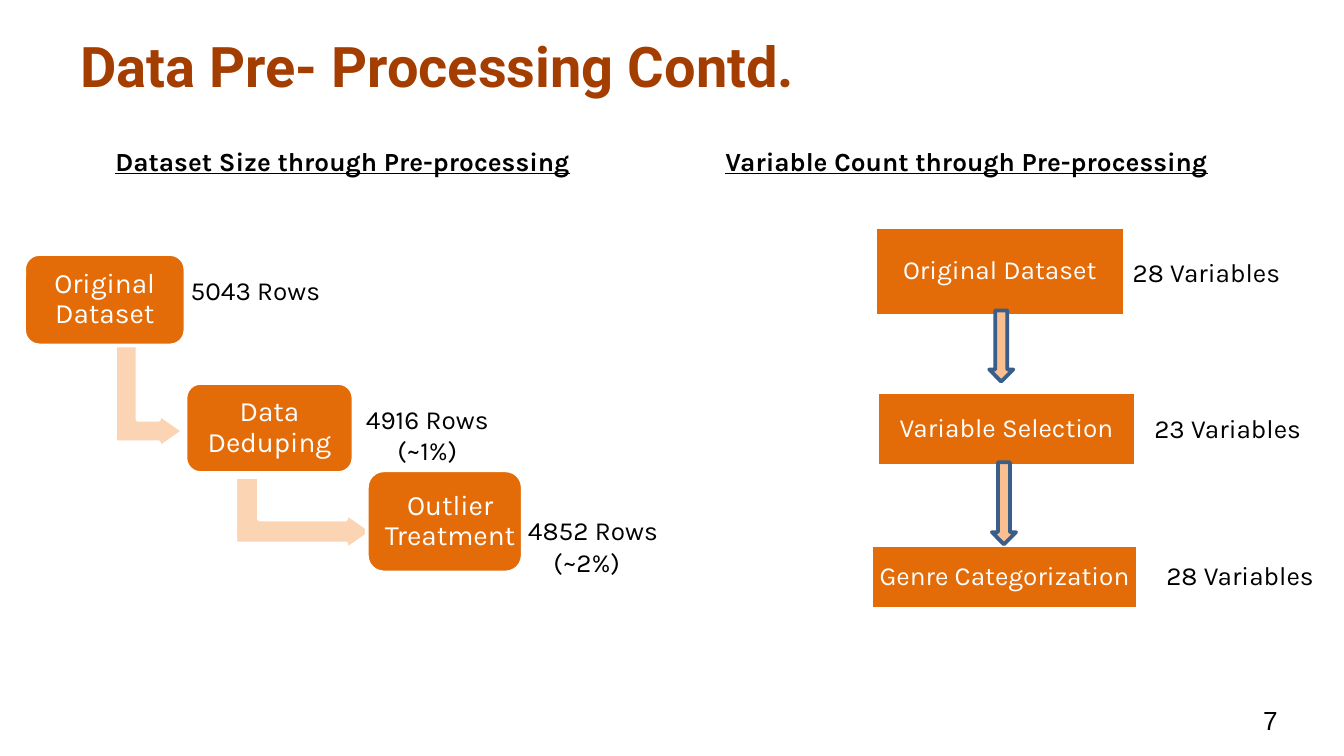
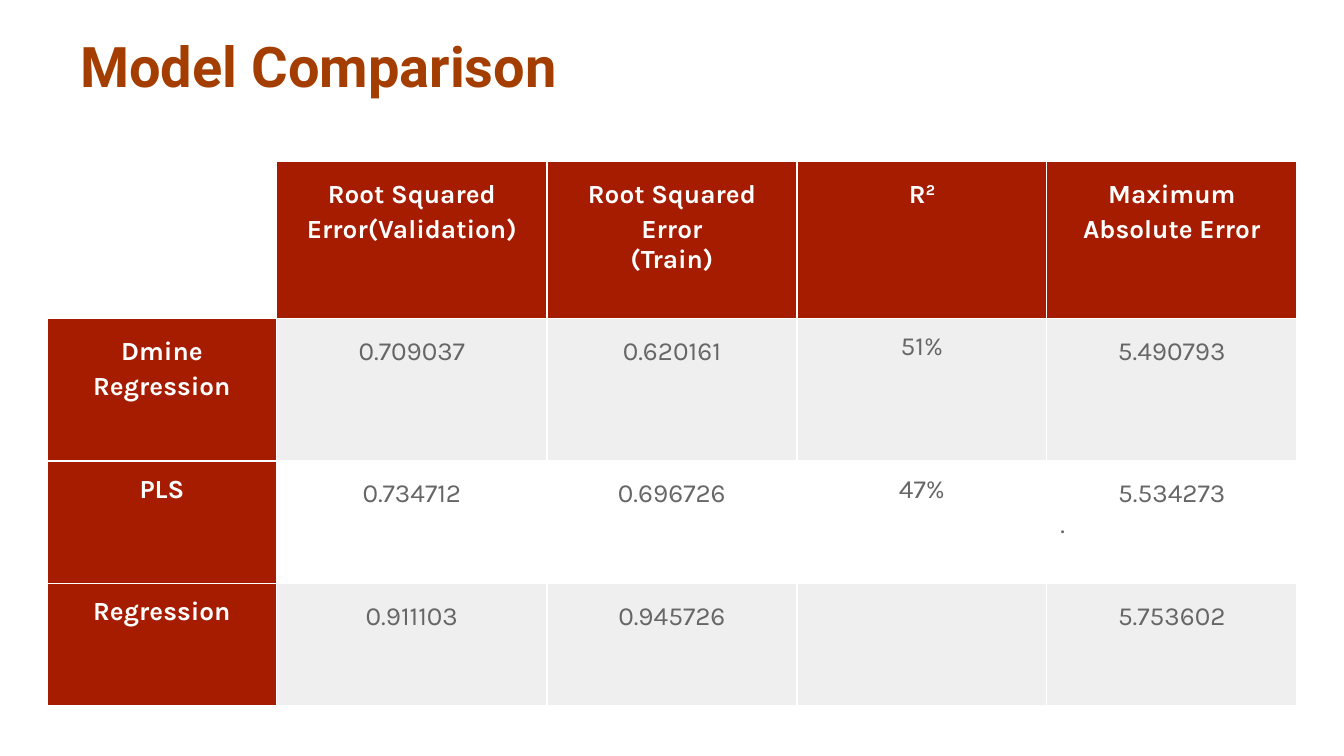
"""Build two slides on data pre-processing and model comparison."""
from lxml import etree
from pptx import Presentation
from pptx import util as u
from pptx.dml.color import RGBColor
from pptx.enum import shapes, text
from pptx.oxml.ns import qn

COLORS = {
    "title": "A43E00", "ink": "000000", "white": "FFFFFF", "step": "E36C09",
    "bend": "FBD4B4", "arrow": "FABF8E", "arrow_edge": "395E89",
    "header": "A61C00", "band": "EFEFEF", "value": "666666",
}
LEFT, CENTER = text.PP_ALIGN.LEFT, text.PP_ALIGN.CENTER
TOP, MIDDLE = text.MSO_ANCHOR.TOP, text.MSO_ANCHOR.MIDDLE
SHAPE = shapes.MSO_SHAPE

METRICS = [
    ["", "Root Squared Error(Validation)", "Root Squared Error\n(Train)", "R^2",
     "Maximum Absolute Error"],
    ["Dmine Regression", "0.709037", "0.620161", "51%", "5.490793"],
    ["PLS", "0.734712", "0.696726", "47%", "5.534273\n."],
    ["Regression", "0.911103", "0.945726", "", "5.753602"],
]
COLUMN_WIDTHS = [1.71, 2.01, 1.86, 1.86, 1.86]
ROW_HEIGHTS = [1.17, 1.06, 0.91, 0.91]
SINGLE_SPACED = {(1, 3), (2, 0), (2, 3), (3, 0)}


def rgb(name):
    """Return the named palette colour."""
    return RGBColor.from_string(COLORS[name])


def inches(values):
    """Convert a sequence of numbers to lengths."""
    return [u.Inches(value) for value in values]


def write(frame, content, size=14, font="Karla", color="ink", bold=False,
          underline=False, align=LEFT, spacing=None):
    """Fill a text frame, one paragraph a line; ^ starts a superscript."""
    for index, line in enumerate(content.split("\n")):
        paragraph = frame.add_paragraph() if index else frame.paragraphs[0]
        paragraph.alignment = align
        if spacing and not index:
            paragraph.line_spacing = spacing
        for level, part in enumerate(line.split("^")):
            run = paragraph.add_run()
            run.text = part
            run.font.size, run.font.name = u.Pt(size), font
            run.font.bold, run.font.underline = bold, underline
            run.font.color.rgb = rgb(color)
            if level:
                run.font._element.set("baseline", "30000")


def set_frame(frame, insets, anchor=TOP):
    """Set wrapping, insets (left, top, right, bottom) and anchor."""
    frame.word_wrap = True
    frame.vertical_anchor = anchor
    (frame.margin_left, frame.margin_top,
     frame.margin_right, frame.margin_bottom) = inches(insets)


def add_text(slide, box, content, insets=(0.1, 0.05, 0.1, 0.05), anchor=TOP, **style):
    """Add a text box and return its frame."""
    frame = slide.shapes.add_textbox(*inches(box)).text_frame
    set_frame(frame, insets, anchor)
    write(frame, content, **style)
    return frame


def add_figure(slide, kind, box, fill, edge="white", adjust=(), rotation=0):
    """Add a filled and outlined preset shape."""
    figure = slide.shapes.add_shape(kind, *inches(box))
    figure.shadow.inherit = False
    figure.fill.solid()
    figure.fill.fore_color.rgb = rgb(fill)
    figure.line.color.rgb = rgb(edge)
    figure.line.width = u.Pt(2)
    figure.rotation = rotation
    for index, value in enumerate(adjust):
        figure.adjustments[index] = value
    return figure


def add_step(slide, kind, box, label, insets, size):
    """Add a process step with its label."""
    step = add_figure(slide, kind, box, "step")
    set_frame(step.text_frame, insets, MIDDLE)
    write(step.text_frame, label, size=size, color="white", align=CENTER, spacing=0.9)


def add_title(slide, title):
    """Add the slide title."""
    add_text(slide, (0.5, 0.15, 9, 0.67), title, insets=[0.1] * 4, anchor=MIDDLE,
             size=30, font="Roboto", color="title", bold=True)


def add_borders(cell):
    """Draw thin white lines on all sides of a cell."""
    properties = cell._tc.get_or_add_tcPr()
    for side in ("a:lnL", "a:lnR", "a:lnT", "a:lnB"):
        line = etree.SubElement(properties, qn(side), w=str(u.Pt(0.75)))
        fill = etree.SubElement(line, qn("a:solidFill"))
        etree.SubElement(fill, qn("a:srgbClr"), val=COLORS["white"])


def fill_cell(cell, row, column, content):
    """Format one cell of the metrics table by its place."""
    heading = row == 0 or column == 0
    add_borders(cell)
    if row == column == 0:
        cell.fill.background()
    else:
        cell.fill.solid()
        cell.fill.fore_color.rgb = rgb("header" if heading else "band" if row % 2 else "white")
    cell.margin_left = cell.margin_right = u.Inches(0.1)
    cell.margin_top = cell.margin_bottom = u.Inches(0.1)
    if content:
        write(cell.text_frame, content, color="white" if heading else "value",
              bold=heading, align=CENTER,
              spacing=None if (row, column) in SINGLE_SPACED else 1.15)


def add_metrics(slide):
    """Add the table that compares the models."""
    size = (sum(COLUMN_WIDTHS), sum(ROW_HEIGHTS))
    table = slide.shapes.add_table(len(METRICS), len(METRICS[0]),
                                   *inches((0.35, 1.2, *size))).table
    table.first_row = table.horz_banding = False
    for column, width in zip(table.columns, inches(COLUMN_WIDTHS)):
        column.width = width
    for row, height in zip(table.rows, inches(ROW_HEIGHTS)):
        row.height = height
    for row, contents in enumerate(METRICS):
        for column, content in enumerate(contents):
            fill_cell(table.cell(row, column), row, column, content)
    table.cell(2, 4).text_frame.paragraphs[1].alignment = LEFT


def add_dataset_size(slide):
    """Add the staircase of row counts."""
    add_text(slide, (0.76, 1.03, 3.73, 0.34), "Dataset Size through Pre-processing",
             bold=True, underline=True)
    for box in ((0.72, 2.69, 0.78, 0.51), (1.99, 3.31, 0.54, 1.02)):
        add_figure(slide, SHAPE.BENT_UP_ARROW, box, "bend",
                   adjust=(0.328, 0.25, 0.358), rotation=90)
    for box, label, left, right in (
            ((0.18, 1.89, 1.2, 0.68), "Original Dataset", 0.1, 0.1),
            ((1.38, 2.85, 1.25, 0.67), "Data Deduping", 0.1, 0.1),
            ((2.73, 3.5, 1.16, 0.76), "Outlier Treatment", 0.08, 0)):
        add_step(slide, SHAPE.ROUNDED_RECTANGLE, box, label, (left, 0.06, right, 0.06), 15)
    add_text(slide, (1.32, 1.99, 1.3, 0.34), "5043 Rows")
    add_text(slide, (2.53, 2.95, 1.3, 0.57), "4916 Rows (~1%)", align=CENTER)
    outliers = add_text(slide, (3.83, 3.78, 1.3, 0.57), "4852 Rows\n(~2%)")
    outliers.paragraphs[1]._p.get_or_add_pPr().set("marL", str(u.Inches(0.19)))


def add_variable_count(slide):
    """Add the column of variable counts."""
    add_text(slide, (5.3, 1.03, 4.33, 0.34), "Variable Count through Pre-processing",
             bold=True, underline=True)
    for box, label, count, count_left, count_top in (
            ((6.51, 1.69, 1.86, 0.66), "Original Dataset", 28, 8.33, 1.86),
            ((6.53, 2.92, 1.92, 0.55), "Variable Selection", 23, 8.49, 3.02),
            ((6.48, 4.06, 1.99, 0.47), "Genre Categorization", 28, 8.58, 4.11)):
        add_step(slide, SHAPE.RECTANGLE, box, label, [0.04] * 4, 14)
        add_text(slide, (count_left, count_top, 1.3, 0.34), f"{count} Variables")
    for box in ((7.36, 2.31, 0.18, 0.53), (7.38, 3.44, 0.18, 0.61)):
        add_figure(slide, SHAPE.DOWN_ARROW, box, "arrow", "arrow_edge")


def main():
    """Build and save the deck."""
    deck = Presentation()
    deck.slide_width, deck.slide_height = inches((10, 10 * 9 / 16))
    blank = deck.slide_layouts[6]

    preprocessing = deck.slides.add_slide(blank)
    add_title(preprocessing, "Data Pre- Processing Contd.")
    add_dataset_size(preprocessing)
    add_variable_count(preprocessing)
    add_text(preprocessing, (9.3, 5.21, 0.32, 0.3), "7", anchor=MIDDLE, font="Arial")

    comparison = deck.slides.add_slide(blank)
    add_metrics(comparison)
    add_title(comparison, "Model Comparison")
    deck.save("out.pptx")


if __name__ == "__main__":
    main()
